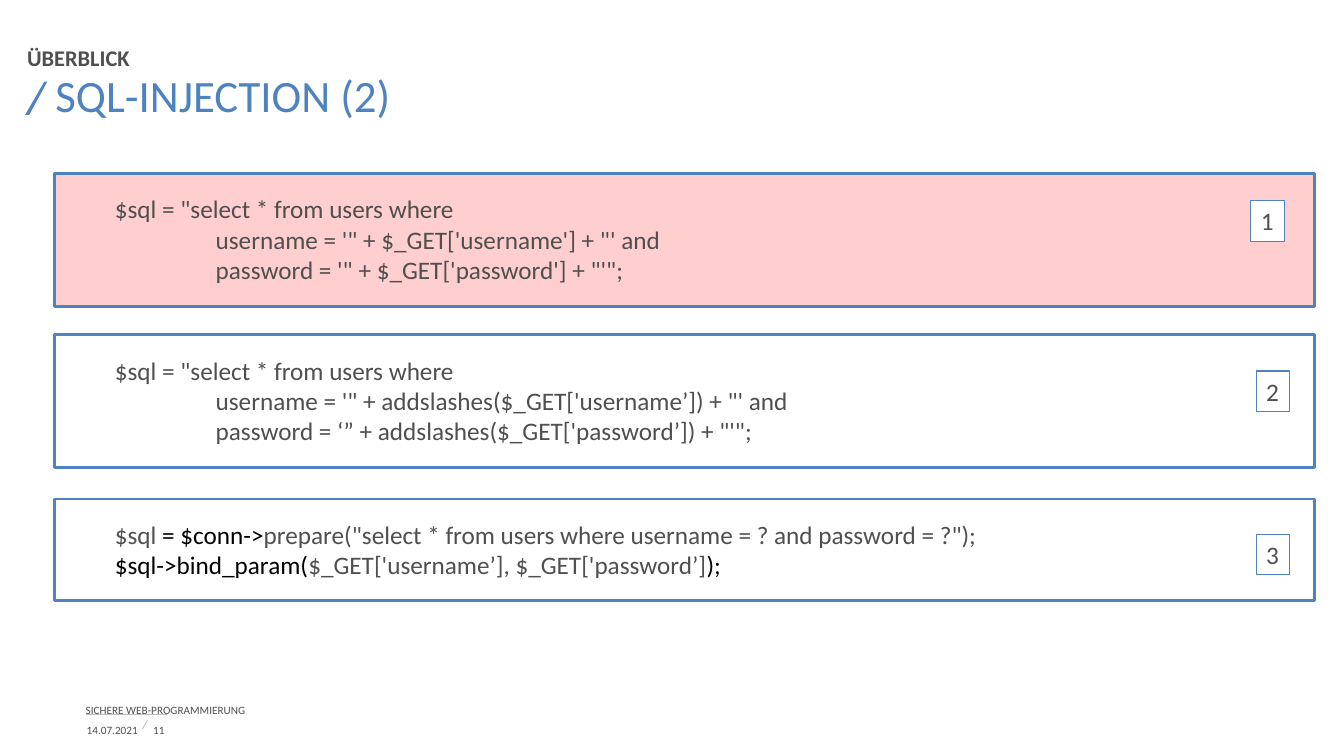
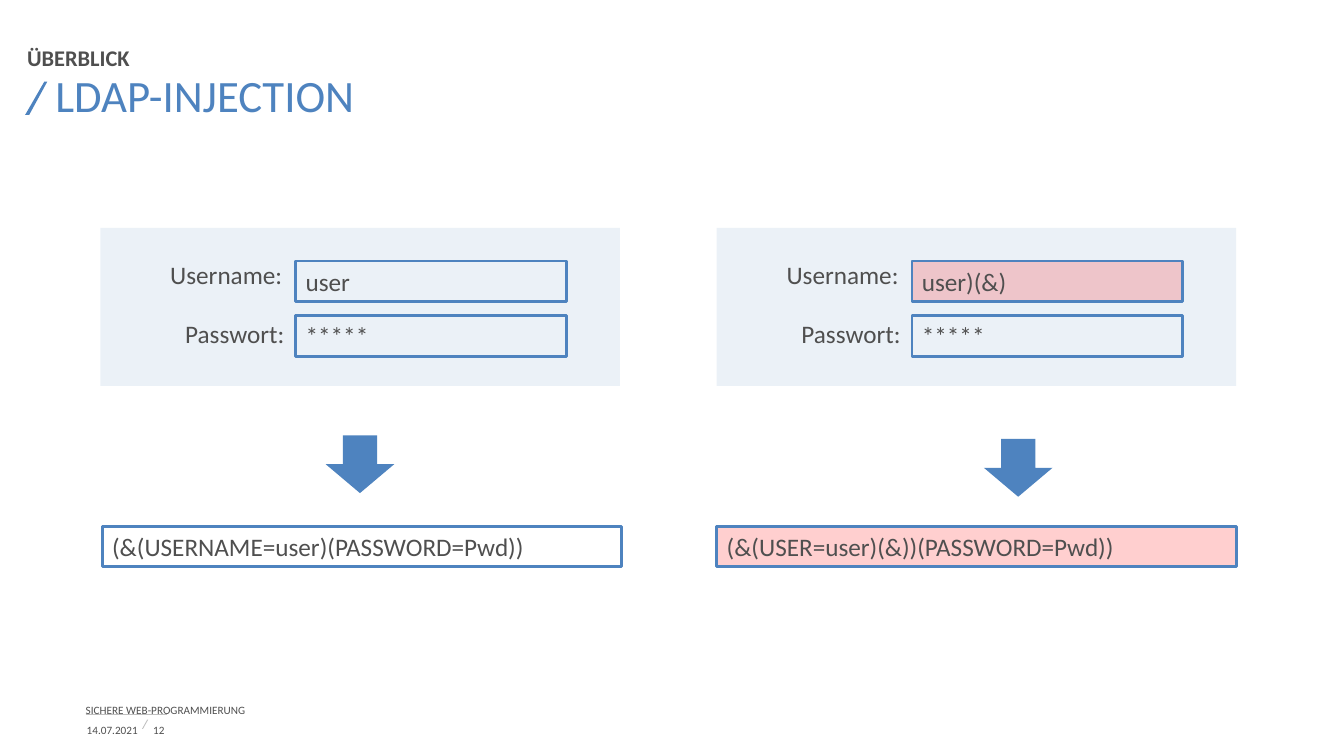
"""Build two slides on SQL and LDAP injection."""
from lxml import etree
from pptx import Presentation
from pptx.dml.color import RGBColor
from pptx.enum import shapes as kinds, text as layout
from pptx.oxml.ns import qn
from pptx.util import Pt

BLUE, GRAY, LIGHT, RED, BLACK, WHITE = "4E83BF", "4F4F4F", "BFBFBF", "FF0000", "000000", "FFFFFF"
FONT = "Calibri"
KICKER = "ÜBERBLICK"
COURSE = "SICHERE WEB-PROGRAMMIERUNG"
DATE = "14.07.2021"
SLASHES = [
    (BLUE, [(18, 82), (31.7, 58.3), (33.8, 58.3), (20.9, 82)]),
    (LIGHT, [(101.5, 520.6), (105.1, 514.1), (105.8, 514.1), (102.2, 520.6)]),
]

FIRST, NESTED = 36, 108
LINE_HEIGHT, CODE_MARGIN = 22, 14.4
QUERIES = [
    {"top": 124, "red": 19, "badge": (893.5, 143.3), "lines": [
        (FIRST, "$sql = \"select * from users where"),
        (NESTED, "username = '\" + $_GET['username'] + \"' and"),
        (NESTED, "password = '\" + $_GET['password'] + \"'\";")]},
    {"top": 239.2, "red": None, "badge": (897.3, 265), "lines": [
        (FIRST, "$sql = \"select * from users where"),
        (NESTED, "username = '\" + addslashes($_GET['username’]) + \"' and"),
        (NESTED, "password = ‘” + addslashes($_GET['password’]) + \"'\";")]},
    {"top": 356.4, "red": None, "badge": (897.3, 381.6), "lines": [
        (FIRST, [("$sql ", GRAY), ("= $conn->", BLACK),
                 ("prepare(\"select * from users where username = ? and password = ?\");", GRAY)]),
        (FIRST, [("$sql->bind_param(", BLACK), ("$_GET['username’], $_GET['password’]", GRAY),
                 (");", BLACK)])]},
]

FORM_WIDTH, FORM_HEIGHT, FIELD_WIDTH, ROW_HEIGHT = 371, 113, 193.2, 29
LABELS = [("Username:", 42.7, 181.4), ("Passwort:", 53.4, 223.9)]
FIELD_TOPS = (186.5, 225.4)
LOGINS = [
    {"left": 71.8, "values": [("user", None), ("*****", None)], "arrow": (232.6, 310.9),
     "filter": ("(&(USERNAME=user)(PASSWORD=Pwd))", 73, None)},
    {"left": 512, "values": [("user)(&)", 18), ("*****", None)], "arrow": (702.8, 313.5),
     "filter": ("(&(USER=user)(&))(PASSWORD=Pwd))", 512, 19)},
]


def color(value):
    """Turn a hex string into a colour."""
    return RGBColor.from_string(value)


def points(*values):
    """Turn numbers into lengths in points."""
    return [Pt(value) for value in values]


def write(shape, lines, size=18, ink=GRAY, bold=False, inset=(7.2, 3.6),
          anchor=layout.MSO_ANCHOR.TOP, first=0, spacing=None, wrap=True):
    """Write text, or (margin, text or runs) lines, into a shape."""
    frame = shape.text_frame
    frame.word_wrap = wrap
    frame.vertical_anchor = anchor
    frame.margin_left = frame.margin_right = Pt(inset[0])
    frame.margin_top = frame.margin_bottom = Pt(inset[1])
    if isinstance(lines, str):
        lines = [(0, lines)]
    for index, (margin, runs) in enumerate(lines):
        paragraph = frame.add_paragraph() if index else frame.paragraphs[0]
        paragraph.alignment = layout.PP_ALIGN.LEFT
        if spacing:
            paragraph.line_spacing = Pt(spacing)
        properties = paragraph._p.get_or_add_pPr()
        properties.set("marL", str(Pt(margin)))
        properties.set("indent", str(Pt(first)))
        for words, run_color in [(runs, ink)] if isinstance(runs, str) else runs:
            run = paragraph.add_run()
            run.text = words
            run.font.name, run.font.size, run.font.bold = FONT, Pt(size), bold
            run.font.color.rgb = color(run_color)


def label(shapes, words, box, **style):
    """Add a text box."""
    write(shapes.add_textbox(*points(*box)), words, **style)


def paint(shape, fill=None, alpha=None, line=None, weight=2):
    """Set the fill and the outline of a shape."""
    shape.shadow.inherit = False
    if fill:
        shape.fill.solid()
        shape.fill.fore_color.rgb = color(fill)
        if alpha:
            tone = shape.fill._xPr.find(qn("a:solidFill"))[0]
            etree.SubElement(tone, qn("a:alpha"), val=str(alpha * 1000))
    else:
        shape.fill.background()
    if line:
        shape.line.color.rgb = color(line)
        shape.line.width = Pt(weight)
    else:
        shape.line.fill.background()


def block(shapes, box, kind=kinds.MSO_SHAPE.RECTANGLE, **look):
    """Add a painted preset shape."""
    shape = shapes.add_shape(kind, *points(*box))
    paint(shape, **look)
    return shape


def outlined(shapes, words, box, red=None, **style):
    """Add a blue frame with text and an optional red tint."""
    write(block(shapes, box, fill=RED if red else None, alpha=red, line=BLUE), words, **style)


def new_slide(presentation, title, number):
    """Add a slide with heading and footer and return its shapes."""
    shapes = presentation.slides.add_slide(presentation.slide_layouts[6]).shapes
    rule = shapes.add_connector(kinds.MSO_CONNECTOR.STRAIGHT, *points(61.2, 510.4, 119.5, 510.4))
    rule.line.color.rgb = color(LIGHT)
    rule.line.width = Pt(0.5)
    etree.SubElement(rule._element.spPr, qn("a:effectLst"))
    for tone, corners in SLASHES:
        start, *others = [points(*corner) for corner in corners]
        builder = shapes.build_freeform(*start)
        builder.add_line_segments(others)
        paint(builder.convert_to_shape(), fill=tone)
    bottom, middle = layout.MSO_ANCHOR.BOTTOM, layout.MSO_ANCHOR.MIDDLE
    label(shapes, KICKER, (19.4, 30.2, 773, 20.2), size=16, bold=True, inset=(0, 0), anchor=bottom)
    label(shapes, title, (18, 51.1, 921.6, 68.4), size=32, ink=BLUE, inset=(0, 0), first=21.6, spacing=36)
    for words, box, anchor in [(DATE, (61.9, 517, 37.4, 8.6), middle),
                               (COURSE, (61.2, 503.7, 561.6, 8.6), bottom),
                               (str(number), (109.4, 517, 15.8, 8.6), middle)]:
        label(shapes, words, box, size=8, inset=(0, 0), anchor=anchor, wrap=False)
    return shapes


def sql_slide(presentation):
    """Show three ways of building the query."""
    shapes = new_slide(presentation, "SQL-INJECTION (2)", 11)
    for number, query in enumerate(QUERIES, 1):
        height = len(query["lines"]) * LINE_HEIGHT + 2 * CODE_MARGIN
        outlined(shapes, query["lines"], (39, query["top"], 900, height), query["red"],
                 inset=(7.2, CODE_MARGIN))
        badge = block(shapes, (*query["badge"], 24, ROW_HEIGHT), fill=WHITE, line=BLUE, weight=0.75)
        write(badge, str(number))


def ldap_slide(presentation):
    """Show a normal and a manipulated login with the resulting filters."""
    shapes = new_slide(presentation, "LDAP-INJECTION", 12)
    for login in LOGINS:
        left = login["left"]
        form = shapes.add_group_shape().shapes
        block(form, (left, 162.7, FORM_WIDTH, FORM_HEIGHT), fill=BLUE, alpha=11)
        for words, offset, top in LABELS:
            label(form, words, (left + offset, top, 96, ROW_HEIGHT), wrap=False)
        for (words, red), top in zip(login["values"], FIELD_TOPS):
            outlined(form, words, (left + 139.4, top, FIELD_WIDTH, ROW_HEIGHT), red)
        words, filter_left, red = login["filter"]
        outlined(shapes, words, (filter_left, 375.9, FORM_WIDTH, ROW_HEIGHT), red)
        block(shapes, (*login["arrow"], 49, 41.3), kinds.MSO_SHAPE.DOWN_ARROW, fill=BLUE)


def main():
    """Build and save the presentation."""
    presentation = Presentation()
    presentation.slide_width, presentation.slide_height = points(960, 540)
    sql_slide(presentation)
    ldap_slide(presentation)
    presentation.save("out.pptx")


if __name__ == "__main__":
    main()
